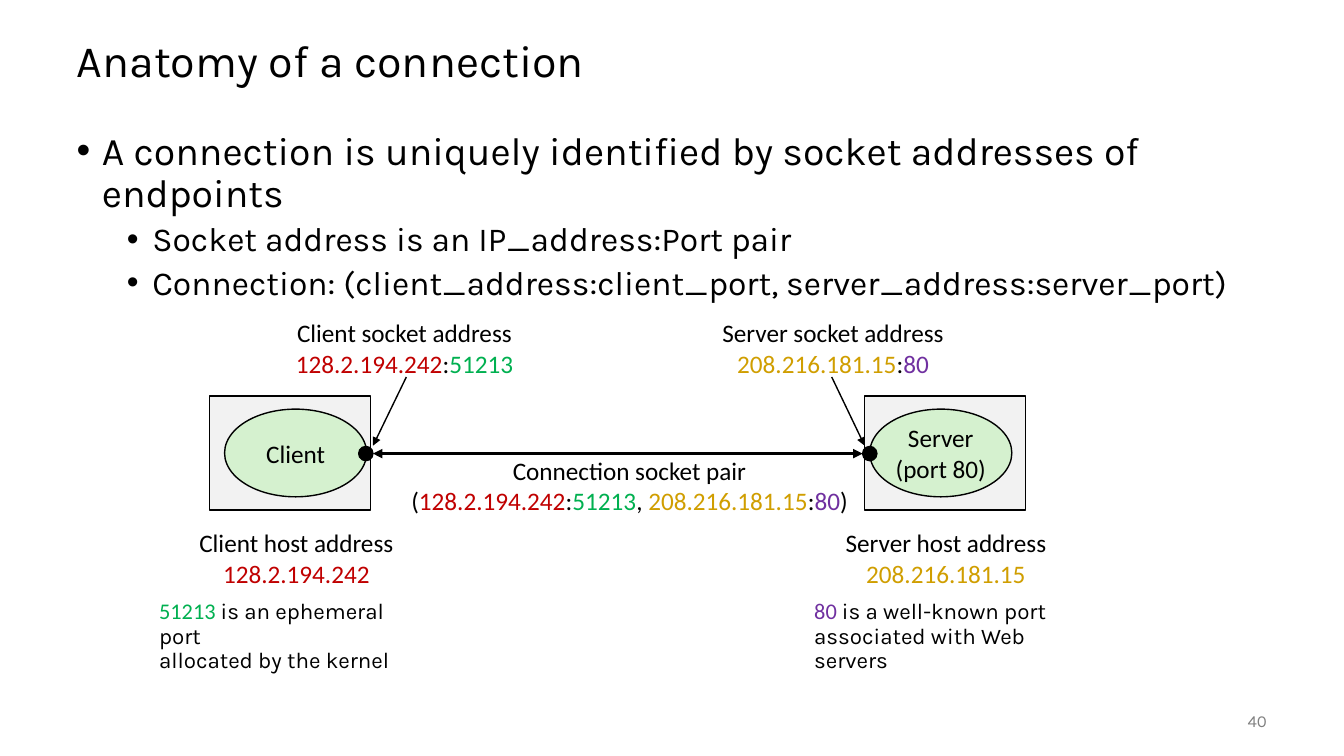
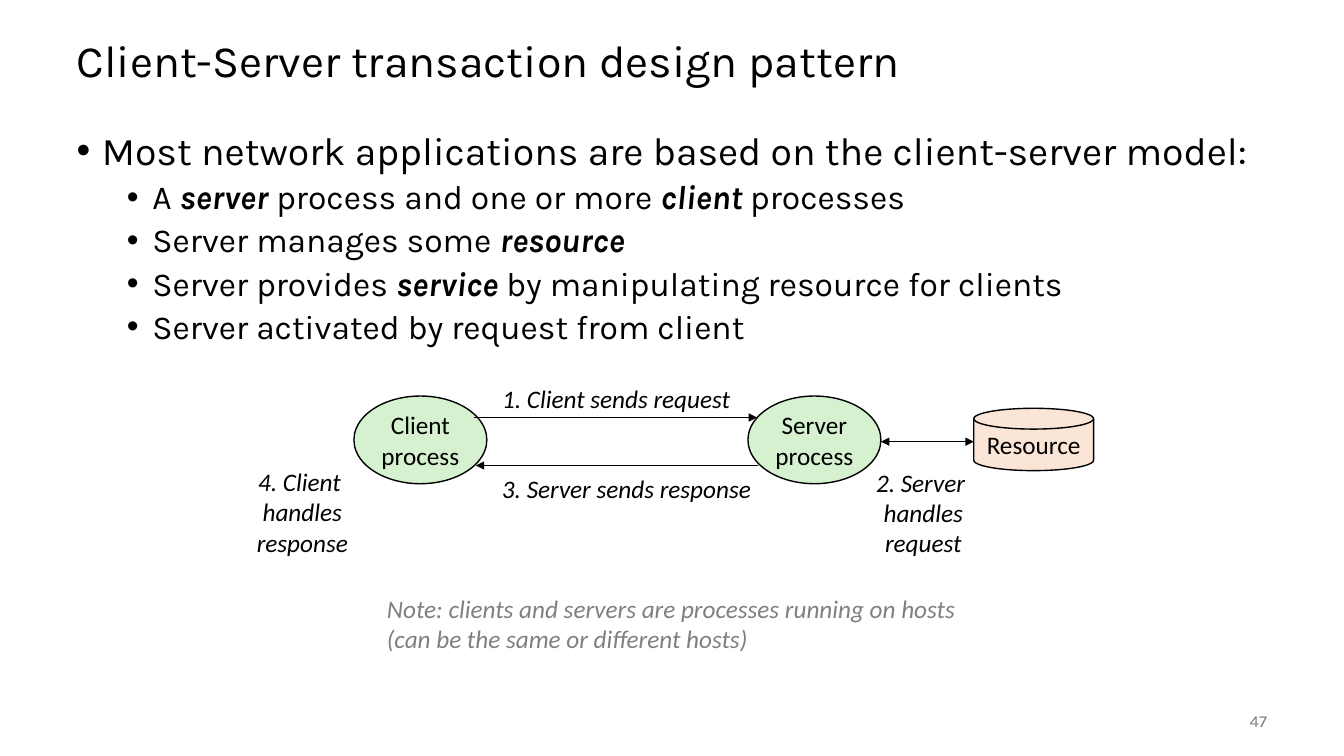
"""Build two slides on network connections and the client-server pattern."""
from dataclasses import dataclass, replace

from lxml import etree
from pptx import Presentation, slide as sl, util as u
from pptx.dml.color import RGBColor
from pptx.enum import shapes as es, text as et
from pptx.oxml import ns
from pptx.shapes import autoshape as sh
from pptx.text import text as tx

BLACK = RGBColor(0x00, 0x00, 0x00)
GRAY = RGBColor(0x80, 0x80, 0x80)
HOST_FILL = RGBColor(0xF2, 0xF2, 0xF2)
PROCESS_FILL = RGBColor(0xD5, 0xF1, 0xCF)
RESOURCE_FILL = RGBColor(0xFB, 0xE5, 0xD6)
RED = RGBColor(0xC0, 0x00, 0x00)
GREEN = RGBColor(0x00, 0xB0, 0x50)
GOLD = RGBColor(0xD0, 0x9E, 0x00)
PURPLE = RGBColor(0x70, 0x30, 0xA0)


@dataclass(frozen=True)
class Box:
    """Position and size in centimetres."""
    left: float
    top: float
    width: float
    height: float

    def lengths(self) -> tuple[u.Cm, ...]:
        """Return the four values as lengths."""
        return tuple(u.Cm(value) for value in (self.left, self.top, self.width, self.height))


@dataclass(frozen=True)
class Run:
    """A piece of text with its deviations from the style."""
    text: str
    color: RGBColor | None = None
    strong: bool = False
    font: str | None = None


@dataclass(frozen=True)
class Style:
    """Shared formatting of a text frame."""
    font: str = "Calibri"
    size: int = 18
    color: RGBColor = BLACK
    italic: bool = False
    align: et.PP_ALIGN = et.PP_ALIGN.CENTER
    anchor: et.MSO_ANCHOR = et.MSO_ANCHOR.MIDDLE
    wrap: bool = False
    spacing: float = 1.0


@dataclass(frozen=True)
class Endpoint:
    """One end of the connection and the places of its parts."""
    name: str
    process: list[list[Run]]
    address: Run
    port: Run
    host_left: float
    process_left: float
    dot_left: float
    socket_label: Box
    host_label: Box
    arrow: tuple[float, float]
    note_left: float
    note: tuple[str, str]


Line = list[Run]

LABEL = Style()
STEP = Style(italic=True)
TITLE = Style("Karla", 32, align=et.PP_ALIGN.LEFT, wrap=True, spacing=0.9)
BODY = replace(TITLE, size=28, anchor=et.MSO_ANCHOR.TOP)
PORT_NOTE = replace(BODY, size=16)
REMARK = Style(color=GRAY, italic=True, align=et.PP_ALIGN.LEFT,
               anchor=et.MSO_ANCHOR.TOP, wrap=True)
NUMBER = Style("Karla", 12, GRAY, align=et.PP_ALIGN.RIGHT, wrap=True)

TITLE_BOX = Box(1.68, 0.64, 30.48, 1.9)
NUMBER_BOX = Box(29.64, 17.65, 2.54, 1.02)
BULLET_SIZES = (28, 24)
BULLET_MARGINS = (0.64, 1.91)
BULLET_HANG = 0.64
DOT_SIZE = 0.36
DOT_TOP = 11.25
PROCESS_HEIGHT = 2.21


def plain(*texts: str) -> list[Line]:
    """Return one unformatted line for each text."""
    return [[Run(text)] for text in texts]


def add_runs(paragraph: tx._Paragraph, line: Line, style: Style) -> None:
    """Write a line into a paragraph run by run."""
    paragraph.alignment = style.align
    paragraph.line_spacing = style.spacing
    for item in line:
        run = paragraph.add_run()
        run.text = item.text
        run.font.name = item.font or style.font
        run.font.size = u.Pt(style.size)
        run.font.bold = item.strong
        run.font.italic = item.strong or style.italic
        run.font.color.rgb = item.color or style.color


def fill_frame(frame: tx.TextFrame, lines: list[Line], style: Style) -> None:
    """Fill a text frame with styled lines."""
    frame.auto_size = et.MSO_AUTO_SIZE.NONE
    frame.word_wrap = style.wrap
    frame.vertical_anchor = style.anchor
    for index, line in enumerate(lines):
        paragraph = frame.add_paragraph() if index else frame.paragraphs[0]
        add_runs(paragraph, line, style)


def add_text(slide: sl.Slide, box: Box, lines: list[Line], style: Style = LABEL) -> None:
    """Add a text box."""
    fill_frame(slide.shapes.add_textbox(*box.lengths()).text_frame, lines, style)


def add_shape(slide: sl.Slide, kind: es.MSO_SHAPE, box: Box, fill: RGBColor,
              lines: list[Line] | None = None) -> sh.Shape:
    """Add a filled, outlined shape with optional text."""
    shape = slide.shapes.add_shape(kind, *box.lengths())
    shape.shadow.inherit = False
    shape.fill.solid()
    shape.fill.fore_color.rgb = fill
    shape.line.color.rgb = BLACK
    shape.line.width = u.Pt(1)
    if lines:
        fill_frame(shape.text_frame, lines, LABEL)
    return shape


def add_arrow(slide: sl.Slide, start: tuple[float, float], end: tuple[float, float],
              width: float = 1, double: bool = False) -> None:
    """Add a straight arrow, optionally pointing both ways."""
    connector = slide.shapes.add_connector(
        es.MSO_CONNECTOR.STRAIGHT, *(u.Cm(value) for value in start + end))
    connector.line.color.rgb = BLACK
    connector.line.width = u.Pt(width)
    properties = connector.element.spPr
    outline = properties.find(ns.qn("a:ln"))
    for tag in ("a:headEnd", "a:tailEnd") if double else ("a:tailEnd",):
        etree.SubElement(outline, ns.qn(tag), type="triangle")
    etree.SubElement(properties, ns.qn("a:effectLst"))


def add_bullets(slide: sl.Slide, box: Box, lines: list[Line]) -> None:
    """Add a bulleted list: a main point followed by its sub-points."""
    frame = slide.shapes.add_textbox(*box.lengths()).text_frame
    fill_frame(frame, [], BODY)
    for index, line in enumerate(lines):
        level = min(index, 1)
        paragraph = frame.add_paragraph() if index else frame.paragraphs[0]
        paragraph.level = level
        properties = paragraph._p.get_or_add_pPr()
        properties.set("marL", str(u.Cm(BULLET_MARGINS[level])))
        properties.set("indent", str(-u.Cm(BULLET_HANG)))
        etree.SubElement(properties, ns.qn("a:buFont"), typeface="Arial")
        etree.SubElement(properties, ns.qn("a:buChar"), char="•")
        paragraph.space_before = u.Pt(5 * level)
        add_runs(paragraph, line, replace(BODY, size=BULLET_SIZES[level]))


def add_slide(presentation, title: str, number: int, bullets: list[Line],
              body_width: float) -> sl.Slide:
    """Add a slide with its title, bullets and number."""
    slide = presentation.slides.add_slide(presentation.slide_layouts[5])
    heading = slide.shapes.title
    heading.left, heading.top, heading.width, heading.height = TITLE_BOX.lengths()
    fill_frame(heading.text_frame, plain(title), TITLE)
    add_bullets(slide, Box(1.68, 3.18, body_width, 13.97), bullets)
    add_text(slide, NUMBER_BOX, plain(str(number)), NUMBER)
    return slide


def add_endpoint(slide: sl.Slide, end: Endpoint) -> None:
    """Draw a host with its process, socket and labels."""
    add_shape(slide, es.MSO_SHAPE.RECTANGLE, Box(end.host_left, 9.98, 4.06, 2.87), HOST_FILL)
    add_shape(slide, es.MSO_SHAPE.OVAL, Box(end.process_left, 10.31, 3.58, PROCESS_HEIGHT),
              PROCESS_FILL, end.process)
    add_shape(slide, es.MSO_SHAPE.OVAL, Box(end.dot_left, DOT_TOP, DOT_SIZE, DOT_SIZE), BLACK)
    add_text(slide, end.socket_label,
             [[Run(f"{end.name} socket address")], [end.address, Run(":"), end.port]])
    add_text(slide, end.host_label, [[Run(f"{end.name} host address")], [end.address]])
    add_arrow(slide, (end.arrow[0], 9.5), (end.arrow[1], 11.23))
    first, second = end.note
    port = replace(end.port, text=f"{end.port.text} ", font="Calibri")
    add_text(slide, Box(end.note_left, 15.01, 7.11, 1.5),
             [[port, Run(first)], [Run(second)]], PORT_NOTE)


def build_connection(presentation) -> None:
    """Build the slide on the anatomy of a connection."""
    slide = add_slide(presentation, "Anatomy of a connection", 40, plain(
        "A connection is uniquely identified by socket addresses of endpoints",
        "Socket address is an IP_address:Port pair",
        "Connection: (client_address:client_port, server_address:server_port)"), 31.04)
    client = Endpoint(
        "Client", plain("Client"), Run("128.2.194.242", RED), Run("51213", GREEN),
        5.28, 5.66, 9.04, Box(7.16, 7.87, 6.07, 1.8), Box(4.7, 13.16, 5.54, 1.8),
        (10.24, 9.4), 3.76, ("is an ephemeral port", "allocated by the kernel"))
    server = Endpoint(
        "Server", plain("Server", "(port 80)"), Run("208.216.181.15", GOLD), Run("80", PURPLE),
        21.79, 21.92, 21.74, Box(17.4, 7.87, 7.19, 1.8), Box(20.98, 13.16, 5.72, 1.8),
        (20.96, 21.79), 20.27, ("is a well-known port", "associated with Web servers"))
    for end in (client, server):
        add_endpoint(slide, end)
    middle = DOT_TOP + DOT_SIZE / 2
    add_arrow(slide, (client.dot_left + DOT_SIZE, middle), (server.dot_left, middle), 2.25, True)
    add_text(slide, Box(10.01, 11.33, 11.71, 1.8), [
        [Run("Connection socket pair")],
        [Run("("), client.address, Run(":"), client.port, Run(", "),
         server.address, Run(":"), server.port, Run(")")]])


def build_transaction(presentation) -> None:
    """Build the slide on the client-server transaction."""
    slide = add_slide(presentation, "Client-Server transaction design pattern", 47, [
        [Run("Most network applications are based on the client-server model:")],
        [Run("A "), Run("server", strong=True), Run(" process and one or more "),
         Run("client ", strong=True), Run("processes")],
        [Run("Server manages some "), Run("resource", strong=True)],
        [Run("Server provides "), Run("service", strong=True),
         Run(" by manipulating resource for clients")],
        [Run("Server activated by request from client")]], 30.48)
    for name, left in (("Client", 8.92), ("Server", 18.85)):
        add_shape(slide, es.MSO_SHAPE.OVAL, Box(left, 9.98, 3.35, PROCESS_HEIGHT),
                  PROCESS_FILL, plain(name, "process"))
    add_shape(slide, es.MSO_SHAPE.FLOWCHART_MAGNETIC_DISK, Box(24.54, 10.29, 3.02, 1.57),
              RESOURCE_FILL, plain("Resource"))
    add_arrow(slide, (11.94, 10.52), (19.08, 10.52))
    add_arrow(slide, (19.1, 11.73), (11.99, 11.73))
    add_arrow(slide, (22.2, 11.13), (24.54, 11.13), double=True)
    steps = (
        (Box(12.29, 9.53, 6.48, 1.02), ("1. Client sends request",)),
        (Box(21.77, 11.63, 3, 2.57), ("2. Server ", "handles", "request")),
        (Box(12.27, 11.79, 7.04, 1.02), ("3. Server sends response",)),
        (Box(6.17, 11.61, 2.9, 2.57), ("4. Client ", "handles", "response")))
    for box, texts in steps:
        add_text(slide, box, plain(*texts), STEP)
    add_text(slide, Box(9.5, 14.83, 15.52, 1.8), plain(
        "Note: clients and servers are processes running on hosts",
        "(can be the same or different hosts)"), REMARK)


def main() -> None:
    """Create and save the presentation."""
    presentation = Presentation()
    presentation.slide_width, presentation.slide_height = u.Cm(33.87), u.Cm(19.05)
    build_connection(presentation)
    build_transaction(presentation)
    presentation.save("out.pptx")


if __name__ == "__main__":
    main()
